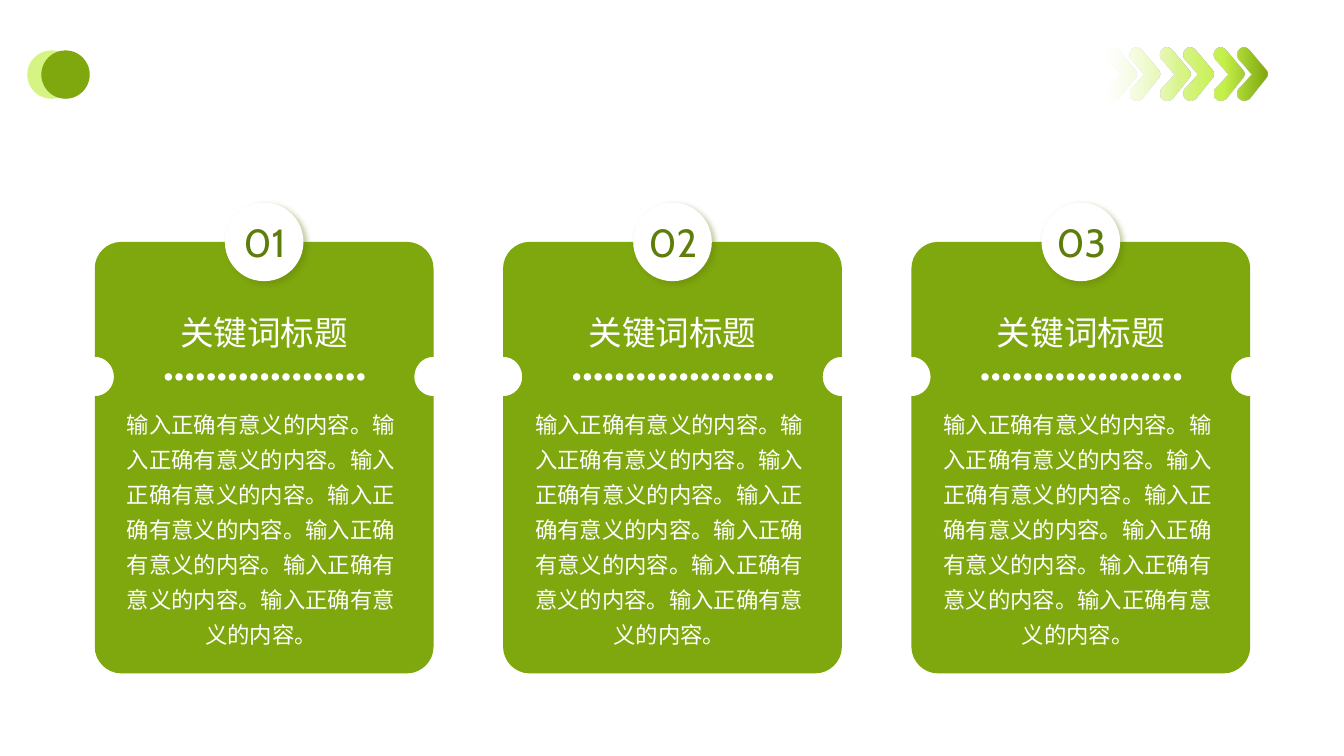
from dataclasses import dataclass
from itertools import accumulate

from lxml.etree import SubElement
from pptx import Presentation
from pptx.dml.color import RGBColor
from pptx.enum.lang import MSO_LANGUAGE_ID
from pptx.enum.shapes import MSO_SHAPE
from pptx.enum.text import MSO_AUTO_SIZE, PP_ALIGN
from pptx.oxml.ns import qn
from pptx.util import Inches, Pt


@dataclass(frozen=True)
class Theme:
    green: str = "7FA70E"
    dark: str = "5F7D0B"
    lime: str = "C4F049"
    white: str = "FFFFFF"
    fade: tuple = ((0, "EBFAC2", 0), (47, "D8F586", 100),
                   (73, "C4F049", 100), (100, "7FA70E", 100))
    head: str = "Cabin"
    body: str = "Roboto"
    big: int = 28
    mid: int = 24
    small: int = 16


THEME = Theme()
TITLE = "关键词标题"
BODY = "输入正确有意义的内容。" * 7
LEFT, PITCH = 0.94, 4.05
MIDDLE = 1.68
DOTS, SPAN = 19, 1.91

ARROW = [
    (0, 0), (0.02, 0.01, 0.03, 0.01, 0.05, 0.03), (0.21, 0.22),
    (0.22, 0.23, 0.23, 0.25, 0.23, 0.26),
    (0.23, 0.28, 0.22, 0.3, 0.21, 0.31), (0.05, 0.51),
    (0.03, 0.52, 0.01, 0.53, 0, 0.53),
    (-0.02, 0.53, -0.04, 0.52, -0.05, 0.51),
    (-0.07, 0.5, -0.07, 0.48, -0.07, 0.46),
    (-0.07, 0.44, -0.07, 0.42, -0.06, 0.41), (0.07, 0.27), (-0.06, 0.12),
    (-0.08, 0.09, -0.08, 0.05, -0.05, 0.02), (-0.04, 0.01, -0.02, 0, 0, 0),
]
TICKET = [
    (0.26, 0), (3.1, 0), (3.24, 0, 3.36, 0.12, 3.36, 0.26), (3.36, 1.14),
    (3.25, 1.14, 3.17, 1.23, 3.17, 1.34),
    (3.17, 1.44, 3.25, 1.53, 3.36, 1.53), (3.36, 4.02),
    (3.36, 4.16, 3.24, 4.28, 3.1, 4.28), (0.26, 4.28),
    (0.12, 4.28, 0, 4.16, 0, 4.02), (0, 1.53),
    (0.11, 1.53, 0.19, 1.44, 0.19, 1.34),
    (0.19, 1.23, 0.11, 1.14, 0, 1.14), (0, 0.26),
    (0, 0.12, 0.12, 0, 0.26, 0),
]


def paint(shape, color):
    style = shape.element.find(qn("p:style"))
    if style is not None:
        shape.element.remove(style)
    shape.shadow.inherit = False
    shape.fill.solid()
    shape.fill.fore_color.rgb = RGBColor.from_string(color)
    shape.line.fill.background()


def add_alpha(node, value):
    SubElement(node, qn("a:alpha"), val=str(value * 1000))


def add_disc(shapes, x, y, size, color):
    disc = shapes.add_shape(MSO_SHAPE.OVAL, Inches(x), Inches(y),
                            Inches(size), Inches(size))
    paint(disc, color)
    return disc


def add_shade(shape):
    effect = shape.element.spPr.find(qn("a:effectLst"))
    shade = SubElement(effect, qn("a:outerShdw"), blurRad=str(Pt(4)),
                       dist=str(Pt(3)), dir=str(45 * 60000),
                       algn="tl", rotWithShape="0")
    add_alpha(SubElement(shade, qn("a:srgbClr"), val=THEME.dark), 40)


def place(steps, x, y):
    return [[(Inches(x + a), Inches(y + b))
             for a, b in zip(step[::2], step[1::2])] for step in steps]


def bend(shape, rings):
    steps = [step for ring in rings for step in ring[1:]]
    nodes = list(shape.element.spPr.iter(qn("a:lnTo")))
    for node, step in zip(nodes, steps):
        if len(step) == 1:
            continue
        node.remove(node[0])
        curve = SubElement(node.getparent(), qn("a:cubicBezTo"))
        for x, y in step:
            SubElement(curve, qn("a:pt"), x=str(x - shape.left),
                       y=str(y - shape.top))
        node.getparent().replace(node, curve)


def add_free(shapes, rings, color):
    pen = shapes.build_freeform(*rings[0][0][0])
    for index, ring in enumerate(rings):
        if index:
            pen.move_to(*ring[0][0])
        pen.add_line_segments([step[-1] for step in ring[1:]], close=True)
    shape = pen.convert_to_shape()
    bend(shape, rings)
    paint(shape, color)
    return shape


def add_text(shapes, box, text, size, font, color, wrap=False, space=None):
    frame = shapes.add_textbox(*map(Inches, box)).text_frame
    frame.word_wrap = wrap
    frame.auto_size = MSO_AUTO_SIZE.SHAPE_TO_FIT_TEXT
    para = frame.paragraphs[0]
    para.alignment = PP_ALIGN.CENTER
    para.line_spacing = space
    run = para.add_run()
    run.text = text
    run.font.size = Pt(size)
    run.font.name = font
    run.font.language_id = MSO_LANGUAGE_ID.SIMPLIFIED_CHINESE
    run.font.color.rgb = RGBColor.from_string(color)
    SubElement(run.font._element, qn("a:ea"), typeface=font)


def add_mark(shapes):
    pair = shapes.add_group_shape().shapes
    back = add_disc(pair, 0.27, 0.5, 0.48, THEME.lime)
    add_alpha(back.element.spPr.find(".//" + qn("a:srgbClr")), 68)
    add_disc(pair, 0.41, 0.5, 0.48, THEME.green)


def add_arrows(shapes):
    tops = accumulate((11.05, 0.23, 0.3, 0.23, 0.3, 0.23))
    shape = add_free(shapes, [place(ARROW, x, 0.47) for x in tops],
                     THEME.green)
    shape.fill.gradient()
    shape.fill.gradient_angle = 0
    stops = shape.element.spPr.find(".//" + qn("a:gsLst"))
    for stop in list(stops):
        stops.remove(stop)
    for point, color, alpha in THEME.fade:
        stop = SubElement(stops, qn("a:gs"), pos=str(point * 1000))
        add_alpha(SubElement(stop, qn("a:srgbClr"), val=color), alpha)


def add_dots(shapes, x):
    row = shapes.add_group_shape().shapes
    for index in range(DOTS):
        dot = add_disc(row, x + index * SPAN / (DOTS - 1), 3.71, 0.06,
                       THEME.white)
        dot.line.color.rgb = RGBColor.from_string(THEME.white)
        dot.line.width = Pt(1)


def add_card(shapes, index):
    x = LEFT + index * PITCH
    mid = x + MIDDLE
    add_free(shapes, [place(TICKET, x, 2.4)], THEME.green)
    add_shade(add_disc(shapes, mid - 0.39, 2.01, 0.78, THEME.white))
    add_text(shapes, (mid - 0.94, 3.05, 1.88, 0.5), TITLE,
             THEME.mid, THEME.head, THEME.white)
    add_text(shapes, (x + 0.12, 3.95, 3.06, 2.53), BODY,
             THEME.small, THEME.body, THEME.white, True, 1.3)
    add_dots(shapes, x + 0.7)
    add_text(shapes, (mid - 0.36, 2.12, 0.73, 0.57), f"{index + 1:02}",
             THEME.big, THEME.head, THEME.dark)


def main():
    deck = Presentation()
    deck.slide_width, deck.slide_height = Inches(13.33), Inches(7.5)
    shapes = deck.slides.add_slide(deck.slide_layouts[6]).shapes
    add_mark(shapes)
    add_arrows(shapes)
    for index in range(3):
        add_card(shapes, index)
    deck.save("out.pptx")


if __name__ == "__main__":
    main()
